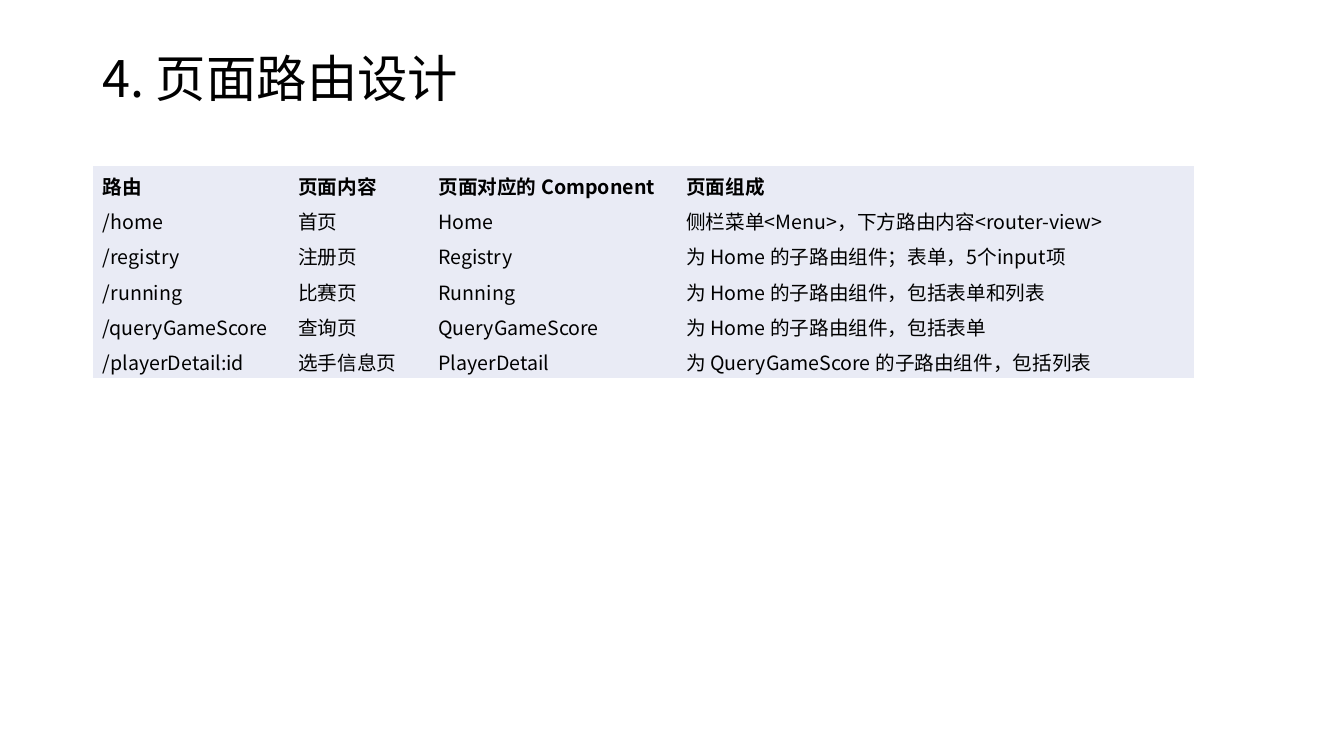
from lxml.etree import SubElement
from pptx import Presentation
from pptx.dml.color import RGBColor
from pptx.enum.text import MSO_ANCHOR
from pptx.oxml.ns import qn
from pptx.util import Inches, Pt

COLORS = {"text": "000000", "cell": "E9EBF5"}
FONT = "Noto Sans CJK SC"
PLAIN_TABLE_STYLE = "{2D5ABB26-0587-4C30-8999-92F81FD0307C}"
LEFT = 6.9
COLUMN_SHARES = [14.55, 10.42, 18.45, 38.55]
ROW_SHARE = 4.67

ROUTES = [
    ["路由", "页面内容", "页面对应的 Component", "页面组成"],
    ["/home", "首页", "Home", "侧栏菜单<Menu>，下方路由内容<router-view>"],
    ["/registry", "注册页", "Registry", "为 Home 的子路由组件；表单，5个input项"],
    ["/running", "比赛页", "Running", "为 Home 的子路由组件，包括表单和列表"],
    ["/queryGameScore", "查询页", "QueryGameScore", "为 Home 的子路由组件，包括表单"],
    ["/playerDetail:id", "选手信息页", "PlayerDetail", "为 QueryGameScore 的子路由组件，包括列表"],
]


class RouteSlide:
    def __init__(self, presentation):
        self.width = presentation.slide_width
        self.height = presentation.slide_height
        self.slide = presentation.slides.add_slide(presentation.slide_layouts[6])

    def across(self, percent):
        return round(self.width * percent / 100)

    def down(self, percent):
        return round(self.height * percent / 100)

    def format_text(self, text_frame, size, bold=False):
        for paragraph in text_frame.paragraphs:
            for run in paragraph.runs:
                run.font.name = FONT
                run.font.size = Pt(size)
                run.font.bold = bold
                run.font.color.rgb = RGBColor.from_string(COLORS["text"])
                east_asian = SubElement(run.font._element, qn("a:ea"))
                east_asian.set("typeface", FONT)

    def add_title(self, text, left, top, width, height):
        shape = self.slide.shapes.add_textbox(
            self.across(left), self.down(top), self.across(width), self.down(height)
        )
        text_frame = shape.text_frame
        text_frame.word_wrap = True
        text_frame.vertical_anchor = MSO_ANCHOR.MIDDLE
        text_frame.text = text
        text_frame.paragraphs[0].line_spacing = 0.9
        self.format_text(text_frame, 36)

    def add_table(self, rows, left, top, column_shares, row_share):
        shape = self.slide.shapes.add_table(
            len(rows), len(column_shares), self.across(left), self.down(top),
            self.across(sum(column_shares)), self.down(row_share * len(rows)),
        )
        table = shape.table
        table.horz_banding = False
        next(shape.element.iter(qn("a:tableStyleId"))).text = PLAIN_TABLE_STYLE
        for column, share in zip(table.columns, column_shares):
            column.width = self.across(share)
        for row_index, values in enumerate(rows):
            table.rows[row_index].height = self.down(row_share)
            for column_index, value in enumerate(values):
                cell = table.cell(row_index, column_index)
                cell.text_frame.text = value
                cell.vertical_anchor = MSO_ANCHOR.MIDDLE
                cell.fill.solid()
                cell.fill.fore_color.rgb = RGBColor.from_string(COLORS["cell"])
                self.format_text(cell.text_frame, 14, bold=row_index == 0)


def main():
    presentation = Presentation()
    presentation.slide_width = Inches(13.33)
    presentation.slide_height = Inches(7.5)
    route_slide = RouteSlide(presentation)
    route_slide.add_title("4. 页面路由设计", LEFT, 5.33, 86.27, 10.93)
    route_slide.add_table(ROUTES, LEFT, 22, COLUMN_SHARES, ROW_SHARE)
    presentation.save("out.pptx")


if __name__ == "__main__":
    main()
